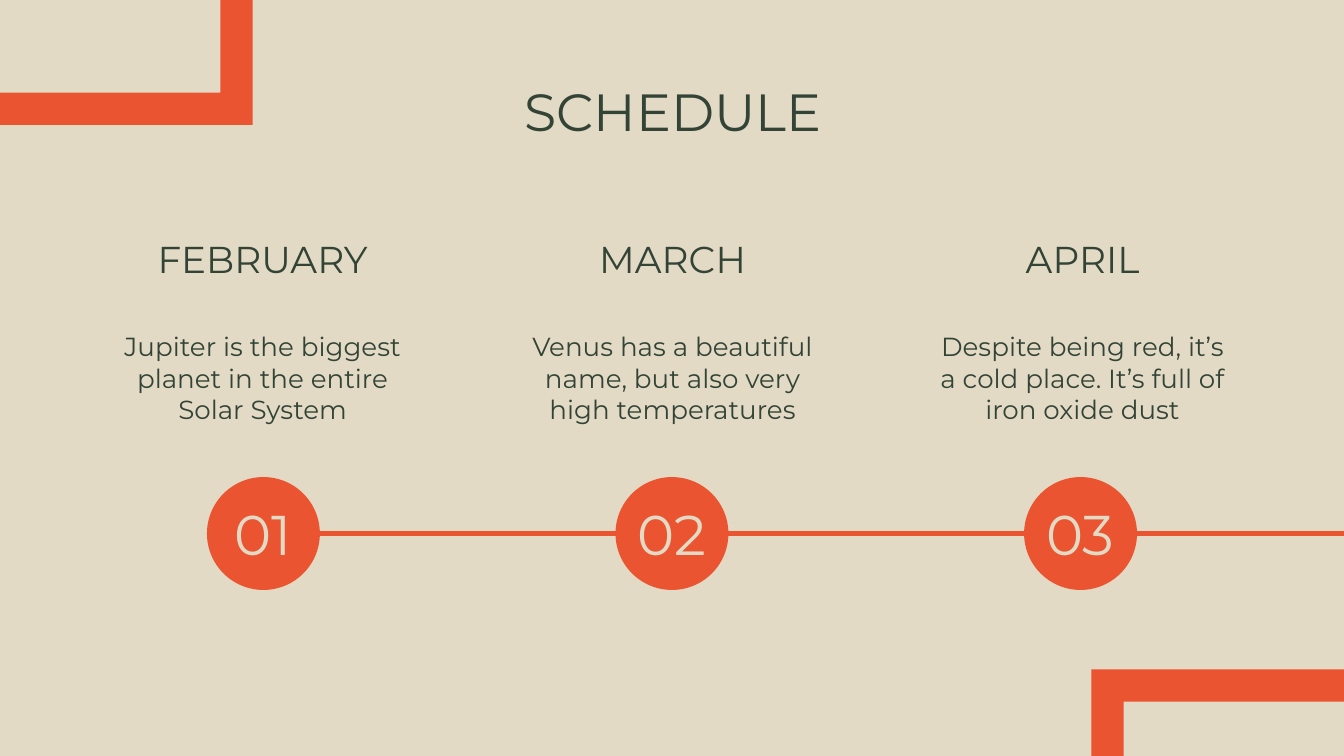
from dataclasses import dataclass

from lxml.etree import SubElement
from pptx import Presentation
from pptx.dml.color import RGBColor
from pptx.enum.shapes import MSO_CONNECTOR, MSO_SHAPE
from pptx.enum.text import MSO_ANCHOR, PP_ALIGN
from pptx.oxml.ns import qn
from pptx.slide import Slide
from pptx.text.text import TextFrame
from pptx.util import Inches, Pt

COLORS = {"sand": "E3DAC5", "orange": "EA5430", "green": "334436"}
FONT = "Montserrat"

PAGE_WIDTH = 10
PAGE_HEIGHT = PAGE_WIDTH * 9 / 16
COLUMN_LEFT, COLUMN_WIDTH, COLUMN_PITCH = 0.79, 2.33, 3.05
CIRCLE_LEFT, CIRCLE_TOP, CIRCLE_SIZE, CIRCLE_PITCH = 1.54, 3.55, 0.84, 3.04
FRAME_WIDTH, FRAME_HEIGHT, FRAME_BORDER = 4.08, 4.38, 0.24
TIMELINE_END = 10.17


@dataclass(frozen=True)
class Milestone:
    number: str
    month: str
    description: str


MILESTONES = [
    Milestone("01", "FEBRUARY", "Jupiter is the biggest planet in the entire Solar System"),
    Milestone("02", "MARCH", "Venus has a beautiful name, but also very high temperatures"),
    Milestone("03", "APRIL", "Despite being red, it’s a cold place. It’s full of iron oxide dust"),
]


def color(name: str) -> RGBColor:
    return RGBColor.from_string(COLORS[name])


def write_centered(frame: TextFrame, text: str, size: float, ink: str,
                   anchor: MSO_ANCHOR, side: float = 0.1, bottom: float = 0.1) -> None:
    frame.word_wrap = True
    frame.vertical_anchor = anchor
    frame.margin_left = frame.margin_right = Inches(side)
    frame.margin_top, frame.margin_bottom = Inches(0.1), Inches(bottom)
    para = frame.paragraphs[0]
    para.alignment = PP_ALIGN.CENTER
    span = para.add_run()
    span.text = text
    span.font.name = FONT
    span.font.size = Pt(size)
    span.font.color.rgb = color(ink)


def add_label(page: Slide, left: float, top: float, width: float, height: float,
              text: str, size: float, anchor: MSO_ANCHOR = MSO_ANCHOR.TOP,
              bottom: float = 0.1) -> None:
    box = page.shapes.add_textbox(Inches(left), Inches(top), Inches(width), Inches(height))
    write_centered(box.text_frame, text, size, "green", anchor, bottom=bottom)


def add_corner_frame(page: Slide, left: float, top: float) -> None:
    """Draw a hollow frame that runs off the page, so that one corner shows."""
    right, bottom = left + FRAME_WIDTH, top + FRAME_HEIGHT
    edge = FRAME_BORDER
    outer = [(left, top), (right, top), (right, bottom), (left, bottom)]
    inner = [(left + edge, top + edge), (left + edge, bottom - edge),
             (right - edge, bottom - edge), (right - edge, top + edge)]
    builder = page.shapes.build_freeform(Inches(left), Inches(top), scale=1.0)
    for contour in (outer, inner):
        points = [(Inches(x), Inches(y)) for x, y in contour]
        builder.move_to(*points[0])
        builder.add_line_segments(points[1:], close=True)
    shape = builder.convert_to_shape()
    shape.shadow.inherit = False
    shape.fill.solid()
    shape.fill.fore_color.rgb = color("orange")
    shape.line.fill.background()


def add_circle(page: Slide, left: float, number: str) -> None:
    circle = page.shapes.add_shape(MSO_SHAPE.OVAL, Inches(left), Inches(CIRCLE_TOP),
                                   Inches(CIRCLE_SIZE), Inches(CIRCLE_SIZE))
    circle.shadow.inherit = False
    circle.fill.solid()
    circle.fill.fore_color.rgb = color("orange")
    circle.line.fill.background()
    write_centered(circle.text_frame, number, 30, "sand", MSO_ANCHOR.MIDDLE, side=0)


def add_timeline_segment(page: Slide, start: float, end: float) -> None:
    middle = Inches(CIRCLE_TOP + CIRCLE_SIZE / 2)
    segment = page.shapes.add_connector(MSO_CONNECTOR.STRAIGHT,
                                        Inches(start), middle, Inches(end), middle)
    segment.line.color.rgb = color("orange")
    segment.line.width = Pt(3)
    SubElement(segment._element.spPr, qn("a:effectLst"))


def add_milestone(page: Slide, index: int, milestone: Milestone) -> None:
    column = COLUMN_LEFT + index * COLUMN_PITCH
    add_label(page, column, 1.82, COLUMN_WIDTH, 0.37, milestone.month, 20, MSO_ANCHOR.BOTTOM)
    add_label(page, column, 2.36, COLUMN_WIDTH, 1.08, milestone.description, 14, bottom=0)

    circle = CIRCLE_LEFT + index * CIRCLE_PITCH
    is_last = index == len(MILESTONES) - 1
    add_circle(page, circle, milestone.number)
    add_timeline_segment(page, circle + CIRCLE_SIZE,
                         TIMELINE_END if is_last else circle + CIRCLE_PITCH)


def main() -> None:
    deck = Presentation()
    deck.slide_width, deck.slide_height = Inches(PAGE_WIDTH), Inches(PAGE_HEIGHT)
    page = deck.slides.add_slide(deck.slide_layouts[6])
    page.background.fill.solid()
    page.background.fill.fore_color.rgb = color("sand")

    add_corner_frame(page, 8.12, 4.98)
    add_corner_frame(page, -2.2, -3.45)
    add_label(page, 0.79, 0.49, 8.43, 0.63, "SCHEDULE", 28)
    for index, milestone in enumerate(MILESTONES):
        add_milestone(page, index, milestone)

    deck.save("out.pptx")


if __name__ == "__main__":
    main()
